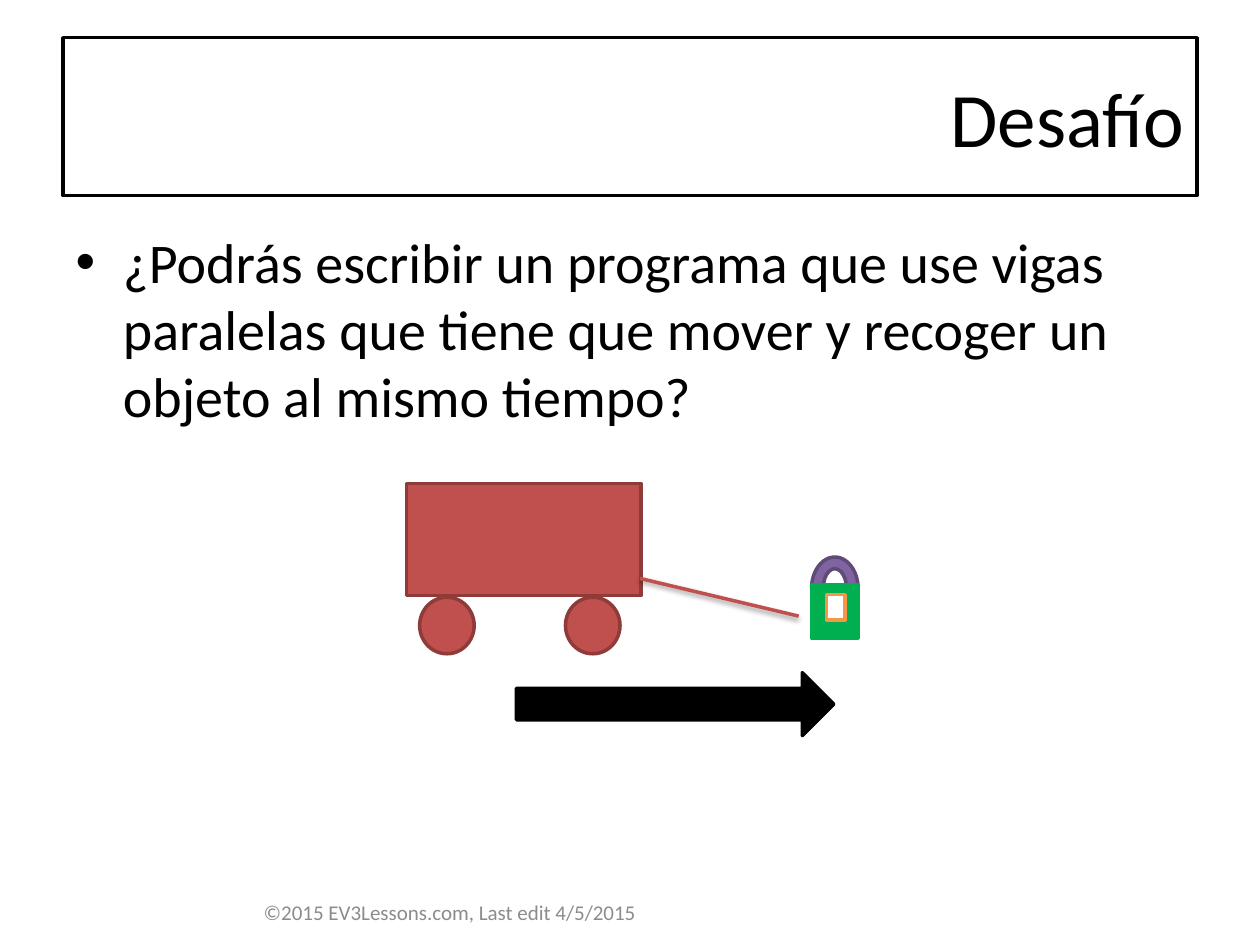
from dataclasses import dataclass

from lxml.etree import SubElement
from pptx import Presentation
from pptx.dml.color import RGBColor
from pptx.enum.shapes import MSO_CONNECTOR, MSO_SHAPE
from pptx.enum.text import MSO_ANCHOR, PP_ALIGN
from pptx.oxml.ns import qn
from pptx.util import Cm, Pt


@dataclass(frozen=True)
class Theme:
    font: str = "Calibri"
    title_size: int = 44
    body_size: int = 32
    footer_size: int = 12
    line_width: int = 2
    black: str = "000000"
    white: str = "FFFFFF"
    gray: str = "8C8C8C"
    red: str = "C0504D"
    dark_red: str = "8E3B39"
    purple: str = "8064A2"
    dark_purple: str = "5F4A78"
    green: str = "00B050"
    orange: str = "F79646"


theme = Theme()


def paint(shape, fill, line):
    shape.fill.solid()
    shape.fill.fore_color.rgb = RGBColor.from_string(fill)
    shape.line.color.rgb = RGBColor.from_string(line)
    shape.line.width = Pt(theme.line_width)


def write(box, text, place, size, color, formats):
    box.left, box.top, box.width, box.height = map(Cm, place)
    frame = box.text_frame
    frame.word_wrap = True
    frame.vertical_anchor = formats["anchor"]
    para = frame.paragraphs[0]
    para.alignment = formats["alignment"]
    para.space_before = Pt(0)
    span = para.add_run()
    span.text = text
    for name, value in {"name": theme.font, "size": Pt(size)}.items():
        setattr(span.font, name, value)
    span.font.color.rgb = RGBColor.from_string(color)


deck = Presentation()
deck.slide_width, deck.slide_height = Cm(25.4), Cm(19.05)
page = deck.slides.add_slide(deck.slide_layouts[1])

title = page.shapes.title
write(title, "Desafío", (1.27, 0.76, 22.86, 3.18), theme.title_size, theme.black,
      {"anchor": MSO_ANCHOR.MIDDLE, "alignment": PP_ALIGN.RIGHT})
paint(title, theme.white, theme.black)

write(page.placeholders[1],
      "¿Podrás escribir un programa que use vigas paralelas que tiene que mover "
      "y recoger un objeto al mismo tiempo?",
      (1.27, 4.45, 22.86, 12.57), theme.body_size, theme.black,
      {"anchor": MSO_ANCHOR.TOP, "alignment": PP_ALIGN.LEFT})

cart = [
    (MSO_SHAPE.RECTANGLE, (8.2, 9.75, 4.72, 2.26), theme.red, theme.dark_red),
    *[(MSO_SHAPE.OVAL, (left, 12.04, 1.1, 1.14), theme.red, theme.dark_red)
      for left in (8.46, 11.4)],
]
padlock = [
    (MSO_SHAPE.BLOCK_ARC, (16.36, 11.23, 0.94, 1.27), theme.purple, theme.dark_purple),
    (MSO_SHAPE.RECTANGLE, (16.36, 11.79, 0.94, 1.07), theme.green, theme.green),
    (MSO_SHAPE.RECTANGLE, (16.66, 11.99, 0.38, 0.51), theme.white, theme.orange),
]
for parts in (cart, padlock):
    group = page.shapes.add_group_shape()
    for kind, place, fill, line in parts:
        part = group.shapes.add_shape(kind, *map(Cm, place))
        part.shadow.inherit = False
        paint(part, fill, line)

arm = page.shapes.add_connector(MSO_CONNECTOR.STRAIGHT, *map(Cm, (12.9, 11.66, 16.1, 12.42)))
arm.line.color.rgb = RGBColor.from_string(theme.red)
arm.line.width = Pt(theme.line_width)
effects = SubElement(arm.element.spPr, qn("a:effectLst"))
shadow = SubElement(effects, qn("a:outerShdw"), blurRad=str(Pt(3.1)), dist=str(Pt(1.6)),
                    dir="5400000", rotWithShape="0")
shade = SubElement(shadow, qn("a:srgbClr"), val=theme.black)
SubElement(shade, qn("a:alpha"), val="38000")

direction = page.shapes.add_shape(MSO_SHAPE.RIGHT_ARROW, *map(Cm, (10.41, 13.56, 6.4, 1.27)))
direction.shadow.inherit = False
paint(direction, theme.black, theme.black)

footer_place = (0.56, 17.88, 17.02, 1.02)
footer = page.shapes.add_textbox(*map(Cm, footer_place))
write(footer, "©2015 EV3Lessons.com, Last edit 4/5/2015", footer_place,
      theme.footer_size, theme.gray,
      {"anchor": MSO_ANCHOR.MIDDLE, "alignment": PP_ALIGN.CENTER})

deck.save("out.pptx")
